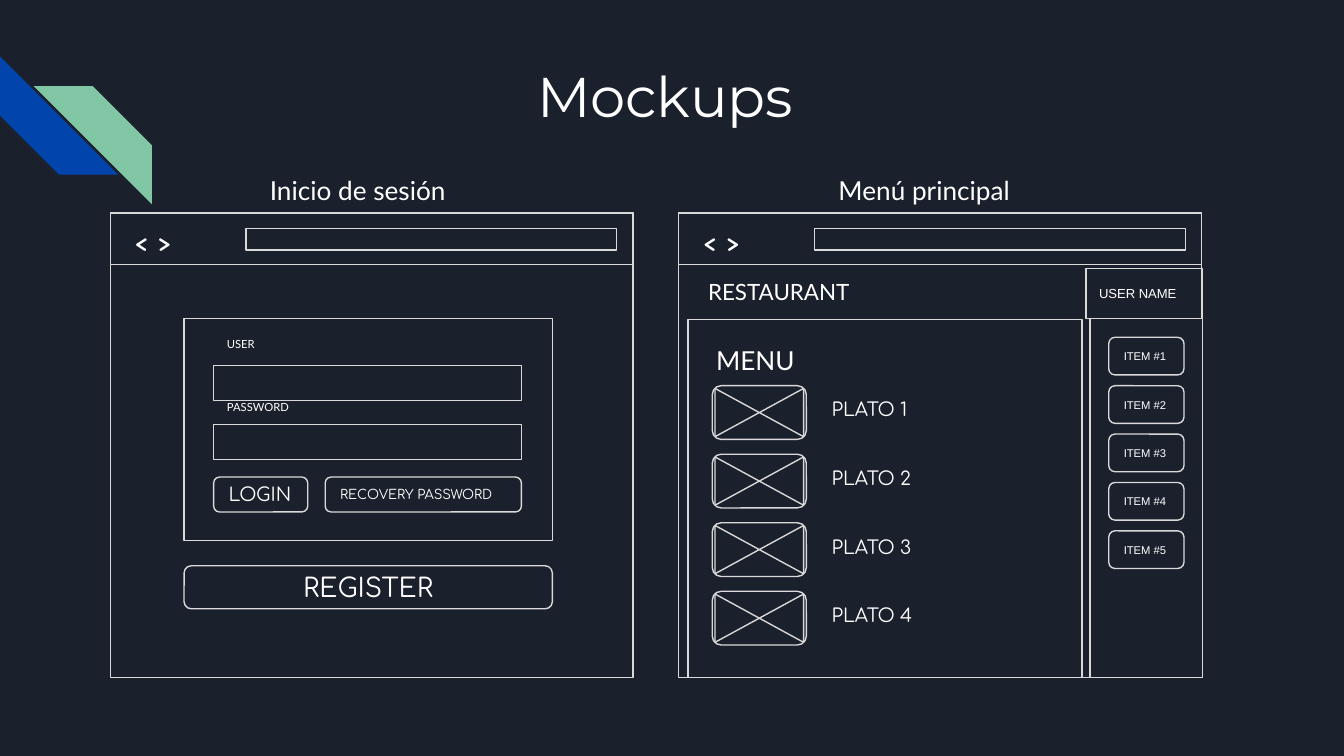
from pptx import Presentation
from pptx.dml.color import RGBColor
from pptx.enum.shapes import MSO_SHAPE as Shape
from pptx.enum.text import MSO_ANCHOR as Anchor, PP_ALIGN as Align
from pptx.util import Inches, Pt

DARK, GREY, WHITE = "1B212C", "D9D9D9", "FFFFFF"
BLUE, GREEN = "0145AC", "82C7A5"
rgb = RGBColor.from_string

presentation = Presentation()
presentation.slide_width = Inches(10)
presentation.slide_height = Inches(10) * 9 // 16
slide = presentation.slides.add_slide(presentation.slide_layouts[6])
slide.background.fill.solid()
slide.background.fill.fore_color.rgb = rgb(DARK)


def paint(shape, fill=DARK, line=GREY):
    shape.shadow.inherit = False
    shape.fill.solid()
    shape.fill.fore_color.rgb = rgb(fill)
    if line:
        shape.line.color.rgb = rgb(line)
        shape.line.width = Pt(0.75)
    else:
        shape.line.fill.background()


def add_box(left, top, width, height, text="", kind=Shape.RECTANGLE,
            size=14, font="Lato", bold=False, align=Align.LEFT):
    """Add an outlined shape, or a plain text box when kind is None."""
    place = [Inches(value) for value in (left, top, width, height)]
    if kind is None:
        shape = slide.shapes.add_textbox(*place)
    else:
        shape = slide.shapes.add_shape(kind, *place)
        paint(shape)
    if text:
        frame = shape.text_frame
        frame.word_wrap = True
        frame.vertical_anchor = Anchor.TOP if kind is None else Anchor.MIDDLE
        frame.margin_left = frame.margin_right = Inches(0.1)
        frame.margin_top = frame.margin_bottom = Inches(0.1)
        paragraph = frame.paragraphs[0]
        paragraph.text = text
        paragraph.alignment = align
        paragraph.font.size = Pt(size)
        paragraph.font.name = font
        paragraph.font.bold = bold
        paragraph.font.color.rgb = rgb(WHITE)
    return shape


# Corner decoration and title
blue_stripe = add_box(0, 0.42, 0.88, 0.88, kind=Shape.DIAGONAL_STRIPE)
blue_stripe.rotation = 270
paint(blue_stripe, BLUE, None)
green_stripe = add_box(0.25, 0.64, 0.88, 0.88, kind=Shape.DIAGONAL_STRIPE)
green_stripe._element.spPr.xfrm.set("flipH", "1")
paint(green_stripe, GREEN, None)
add_box(1.1, 0.36, 7.7, 1, "Mockups", None, 30, "Montserrat", align=Align.CENTER)

# Browser windows
for left, caption in ((0.82, "Inicio de sesión"), (5.05, "Menú principal")):
    add_box(left, 1.58, 3.89, 3.46)
    add_box(left, 1.59, 3.89, 0.38)
    add_box(left + 0.08, 1.58, 0.56, 0.44, "< >", None, 14, "Comic Neue", bold=True)
    add_box(left + 1.01, 1.7, 2.76, 0.16)
    add_box(left + 1.09, 1.2, 1.71, 0.44, caption, None)

# Login form
add_box(1.37, 2.37, 2.74, 1.65)
for field_top, label_top, label in ((2.72, 2.46, "USER"), (3.16, 2.93, "PASSWORD")):
    add_box(1.59, field_top, 2.29, 0.26)
    add_box(1.59, label_top, 0.89, 0.3, label, None, 6)
button = Shape.ROUNDED_RECTANGLE
add_box(1.59, 3.55, 0.7, 0.26, "LOGIN", button, 10, "Comfortaa")
add_box(2.42, 3.55, 1.46, 0.26, "RECOVERY PASSWORD", button, 7, "Comfortaa")
add_box(1.37, 4.21, 2.74, 0.32, "REGISTER", button, 14, "Comfortaa", align=Align.CENTER)

# Main menu with its dishes
add_box(5.12, 2.38, 2.93, 2.66)
add_box(5.17, 1.97, 2.13, 0.4, "RESTAURANT", None, 12)
add_box(5.23, 2.46, 1, 0.44, "MENU", None)
for row in range(4):
    top = 2.87 + 0.51 * row
    add_box(5.3, top, 0.7, 0.4, kind=button)
    add_box(6.09, top + 0.01, 1.21, 0.37, f"PLATO {row + 1}", None, 10, "Comfortaa")
    x1, x2 = Inches(5.32), Inches(5.98)
    y1, y2 = Inches(top + 0.02), Inches(top + 0.38)
    outline = slide.shapes.build_freeform(x1, y1)
    outline.add_line_segments([(x2, y2), (x2, y1), (x1, y2)], close=True)
    paint(outline.convert_to_shape())

# User sidebar
add_box(8.11, 2, 0.84, 3.04)
add_box(8.08, 2, 0.86, 0.37, "USER NAME", size=7, font="Arial")
for row in range(5):
    add_box(8.25, 2.51 + 0.36 * row, 0.56, 0.28, f"ITEM #{row + 1}", button, 6, "Arial")

presentation.save("out.pptx")
